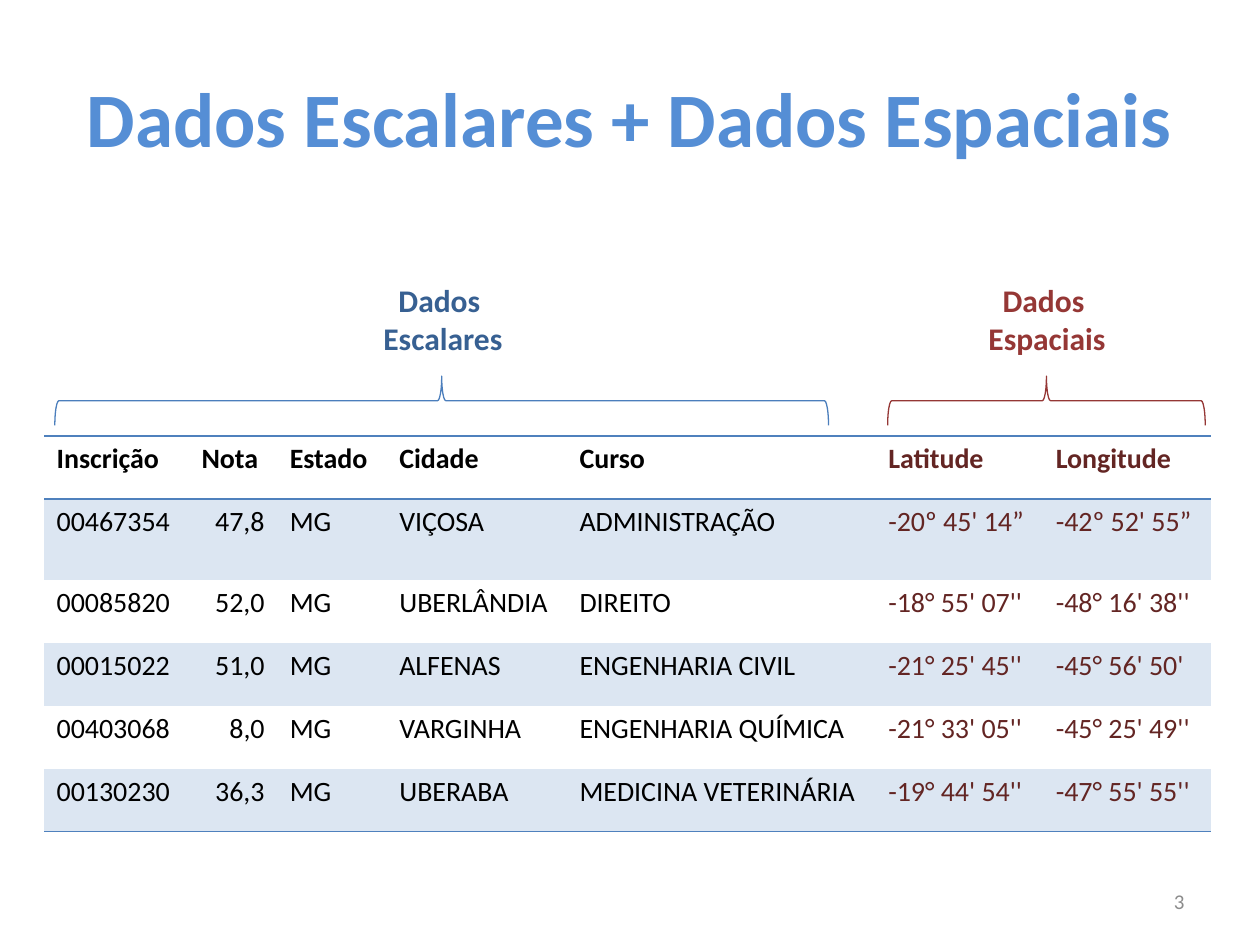
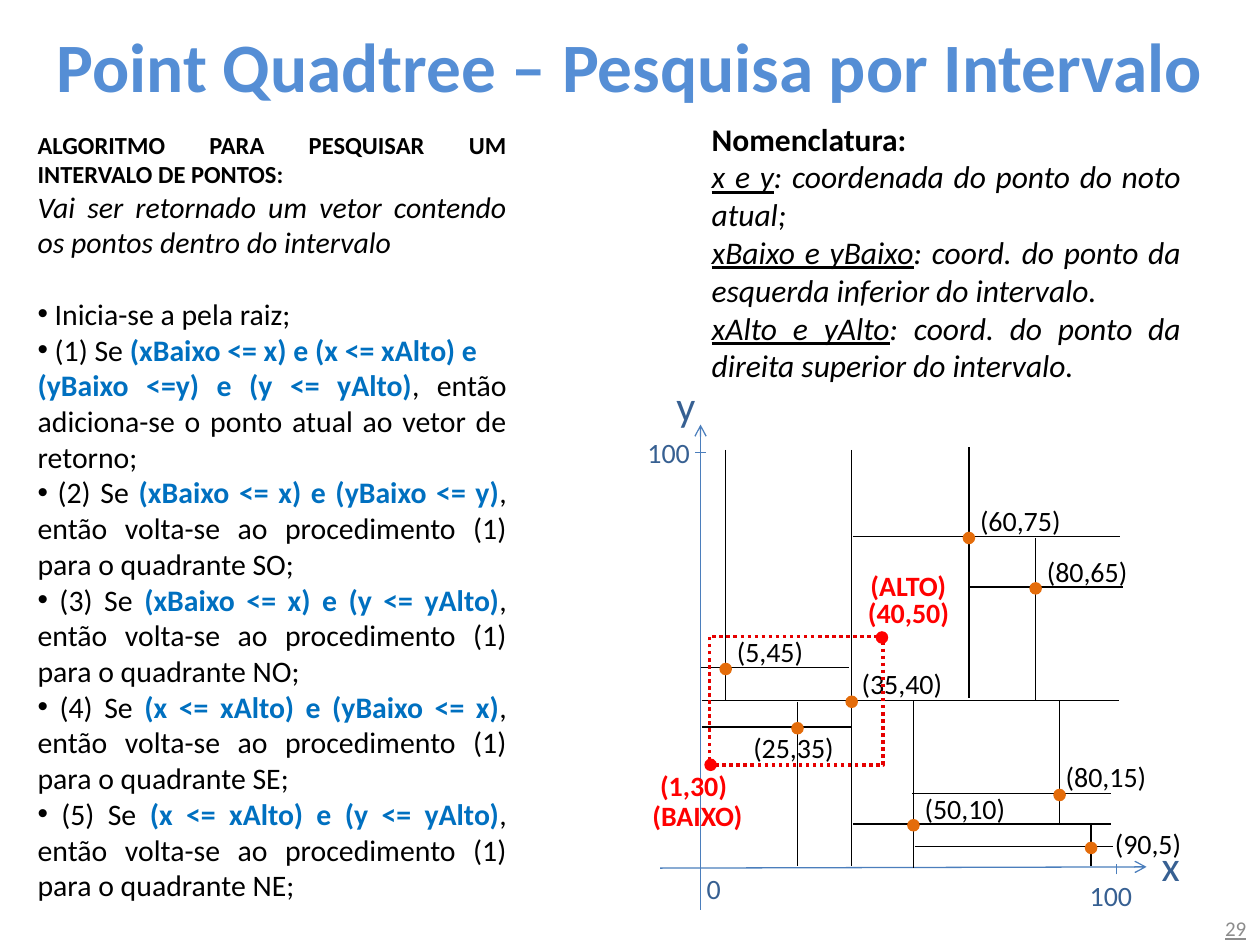
import dataclasses

import lxml.etree
import pptx
import pptx.dml.color
import pptx.enum.dml
import pptx.enum.shapes
import pptx.enum.text
import pptx.oxml
import pptx.oxml.ns
import pptx.util

Inches = pptx.util.Inches
Pt = pptx.util.Pt
Color = pptx.dml.color.RGBColor.from_string
Align = pptx.enum.text.PP_ALIGN
Anchor = pptx.enum.text.MSO_ANCHOR
Shape = pptx.enum.shapes.MSO_SHAPE
qn = pptx.oxml.ns.qn


@dataclasses.dataclass(frozen=True)
class Theme:
    font: str = "Calibri"
    title: str = "558ED5"
    ink: str = "000000"
    paper: str = "FFFFFF"
    muted: str = "8C8C8C"
    border: str = "4F81BD"
    band: str = "DCE6F2"
    axis: str = "4B7EBC"
    scalar: str = "376092"
    spatial: str = "953735"
    spatial_dark: str = "632523"
    condition: str = "0070C0"
    point: str = "E46C0A"
    search: str = "FF0000"
    search_edge: str = "E60000"
    number_size: float = 12
    heading_size: float = 14
    label_size: float = 16
    body_size: float = 17
    note_size: float = 18
    axis_size: float = 24
    hairline: float = 0.75


theme = Theme()


def add_text(page, at, lines, size, color, bold=False, align=Align.LEFT,
             anchor=Anchor.TOP, wrap=False):
    box = page.shapes.add_textbox(*map(Inches, at))
    frame = box.text_frame
    frame.word_wrap = wrap
    frame.vertical_anchor = anchor
    frame.text = "\n".join(lines)
    for para in frame.paragraphs:
        para.alignment = align
        para.font.name = theme.font
        para.font.size = Pt(size)
        para.font.bold = bold
        para.font.color.rgb = Color(color)
    return box


def add_line(page, start, end, color, arrow=False):
    line = page.shapes.add_connector(
        pptx.enum.shapes.MSO_CONNECTOR.STRAIGHT, *map(Inches, start + end))
    line.line.color.rgb = Color(color)
    line.line.width = Pt(theme.hairline)
    if arrow:
        lxml.etree.SubElement(line.line._get_or_add_ln(), qn("a:tailEnd"), type="arrow")
    lxml.etree.SubElement(line._element.spPr, qn("a:effectLst"))


deck = pptx.Presentation()
deck.slide_width = Inches(10)
deck.slide_height = Inches(7.5)

# Titles and page numbers of both slides
pages = []
for title, title_at, title_size, number, number_at in [
    ("Dados Escalares + Dados Espaciais", (0.5, 0.3, 9, 1.25), 44,
     "3", (7.17, 6.95, 2.33, 0.4)),
    ("Point Quadtree – Pesquisa por Intervalo", (0, -0.11, 10, 1.25), 39.6,
     "29", (7.66, 7.17, 2.33, 0.4)),
]:
    page = deck.slides.add_slide(deck.slide_layouts[6])
    add_text(page, title_at, [title], title_size, theme.title, True,
             Align.CENTER, Anchor.MIDDLE, True)
    number_box = add_text(page, number_at, [number], theme.number_size, theme.muted,
                          False, Align.RIGHT, Anchor.MIDDLE, True)
    pages.append(page)
number_box.text_frame.paragraphs[0].font.underline = True
data_page, search_page = pages

# Table of candidates
rows = [
    ("Inscrição", "Nota", "Estado", "Cidade", "Curso", "Latitude", "Longitude"),
    ("00467354", "47,8", "MG", "VIÇOSA", "ADMINISTRAÇÃO", "-20º 45' 14”", "-42º 52' 55”"),
    ("00085820", "52,0", "MG", "UBERLÂNDIA", "DIREITO", "-18° 55' 07''", "-48° 16' 38''"),
    ("00015022", "51,0", "MG", "ALFENAS", "ENGENHARIA CIVIL", "-21° 25' 45''", "-45° 56' 50'"),
    ("00403068", "8,0", "MG", "VARGINHA", "ENGENHARIA QUÍMICA", "-21° 33' 05''", "-45° 25' 49''"),
    ("00130230", "36,3", "MG", "UBERABA", "MEDICINA VETERINÁRIA", "-19° 44' 54''", "-47° 55' 55''"),
]
widths = [1.15, 0.7, 0.87, 1.43, 2.45, 1.33, 1.33]
heights = [0.5, 0.64, 0.5, 0.5, 0.5, 0.5]
table = data_page.shapes.add_table(
    len(rows), len(widths), Inches(0.35), Inches(3.46),
    Inches(sum(widths)), Inches(sum(heights))).table
table.first_row = table.horz_banding = False
# "No style, no grid"
table._tbl.tblPr.find(qn("a:tableStyleId")).text = "{2D5ABB26-0587-4C30-8999-92F81FD0307C}"
for column, width in zip(table.columns, widths):
    column.width = Inches(width)
for row, height in zip(table.rows, heights):
    row.height = Inches(height)

edges_by_row = {0: ("a:lnT", "a:lnB"), len(rows) - 1: ("a:lnB",)}
for row_index, values in enumerate(rows):
    for column_index, value in enumerate(values):
        cell = table.cell(row_index, column_index)
        cell.text = value
        para = cell.text_frame.paragraphs[0]
        para.font.name = theme.font
        para.font.size = Pt(theme.label_size)
        para.font.bold = row_index == 0
        para.font.color.rgb = Color(theme.spatial_dark if column_index >= 5 else theme.ink)
        if column_index == 1 and row_index > 0:
            para.alignment = Align.RIGHT
        for edge in edges_by_row.get(row_index, ()):
            border = lxml.etree.SubElement(
                cell._tc.get_or_add_tcPr(), qn(edge), w=str(Pt(1)))
            solid = lxml.etree.SubElement(border, qn("a:solidFill"))
            lxml.etree.SubElement(solid, qn("a:srgbClr"), val=theme.border)
        if row_index % 2:
            cell.fill.solid()
            cell.fill.fore_color.rgb = Color(theme.band)
        else:
            cell.fill.background()

# Braces over the two column groups, with their captions
for brace_at, brace_color, caption_at, kind, caption_color in [
    ((3.31, 0.11, 0.39, 6.14), theme.axis, (2.94, 2.18, 1.15, 0.71), "Escalares", theme.scalar),
    ((8.11, 1.92, 0.39, 2.52), theme.spatial, (7.74, 2.18, 1.14, 0.71), "Espaciais", theme.spatial),
]:
    brace = data_page.shapes.add_shape(Shape.LEFT_BRACE, *map(Inches, brace_at))
    brace.rotation = 90
    brace.shadow.inherit = False
    brace.fill.background()
    brace.line.color.rgb = Color(brace_color)
    brace.line.width = Pt(theme.hairline)
    add_text(data_page, caption_at, ["Dados ", kind], theme.note_size, caption_color,
             True, Align.CENTER)

# Axes of the quadtree plot: arrows, then ticks
for start, end, arrow in [
    ((5.56, 7.22), (5.56, 3.37), True),
    ((5.24, 6.89), (9.1, 6.88), True),
    ((5.6, 3.59), (5.52, 3.59), False),
    ((8.86, 6.94), (8.86, 6.86), False),
]:
    add_line(search_page, start, end, theme.axis, arrow)
for label, label_at, size in [
    ("100", (5.04, 3.41, 0.54, 0.37), theme.label_size),
    ("100", (8.55, 6.92, 0.54, 0.37), theme.label_size),
    ("0", (5.51, 6.87, 0.32, 0.37), theme.label_size),
    ("x", (9.12, 6.61, 0.35, 0.5), theme.axis_size),
    ("y", (5.27, 2.96, 0.37, 0.5), theme.axis_size),
]:
    add_text(search_page, label_at, [label], size, theme.scalar)

# Tree points: label, centre, label offset, horizontal span, vertical span
above = (-0.01, -0.31)
dots = []
for label, x, y, offset, across, down in [
    ("(35,40)", 6.76, 5.56, (-0.02, -0.32), (5.57, 8.88), (3.57, 6.87)),
    ("(50,10)", 7.25, 6.54, above, (6.77, 8.82), (5.56, 6.89)),
    ("(60,75)", 7.69, 4.26, above, (6.77, 8.89), (3.55, 5.54)),
    ("(80,65)", 8.22, 4.66, above, (7.69, 8.91), (4.27, 5.56)),
    ("(80,15)", 8.41, 6.3, (-0.05, -0.32), (7.24, 8.82), (5.56, 6.54)),
    ("(5,45)", 5.76, 5.3, above, (5.56, 6.74), (3.57, 5.56)),
    ("(25,35)", 6.33, 5.77, (-0.45, -0.02), (5.57, 6.76), (5.57, 6.87)),
    ("(90,5)", 8.66, 6.72, (0.09, -0.21), (7.26, 8.83), (6.55, 6.87)),
]:
    add_line(search_page, (across[0], y), (across[1], y), theme.ink)
    add_line(search_page, (x, down[0]), (x, down[1]), theme.ink)
    label_width = 0.85 if len(label) == 7 else 0.74
    add_text(search_page, (x + offset[0], y + offset[1], label_width, 0.37), [label],
             theme.label_size, theme.ink)
    dots.append((x, y, theme.point))

# Search interval and its two corners
interval = search_page.shapes.add_shape(
    Shape.RECTANGLE, Inches(5.63), Inches(5.05), Inches(1.38), Inches(1.02))
interval.shadow.inherit = False
interval.fill.background()
interval.line.color.rgb = Color(theme.search_edge)
interval.line.width = Pt(2)
interval.line.dash_style = pptx.enum.dml.MSO_LINE.ROUND_DOT
dots += [(5.64, 6.06, theme.search), (7, 5.05, theme.search)]
for label, label_at in [
    ("(40,50)", (6.79, 4.68, 0.86, 0.37)),
    ("(ALTO)", (6.81, 4.46, 0.81, 0.37)),
    ("(1,30)", (5.14, 6.05, 0.74, 0.37)),
    ("(BAIXO)", (5.08, 6.29, 0.93, 0.37)),
]:
    add_text(search_page, label_at, [label], theme.label_size, theme.search, True)

for x, y, color in dots:
    dot = search_page.shapes.add_shape(
        Shape.OVAL, Inches(x - 0.05), Inches(y - 0.04), Inches(0.1), Inches(0.1))
    dot.shadow.inherit = False
    dot.fill.solid()
    dot.fill.fore_color.rgb = Color(color)
    dot.line.fill.background()

# Text panels: each paragraph is a list of (text, style) spans
steps = [("(2)", "(xBaixo <= x) e (yBaixo <= y)", "SO"),
         ("(3)", "(xBaixo <= x) e (y <= yAlto)", "NO"),
         ("(4)", "(x <= xAlto) e (yBaixo <= x)", "SE"),
         ("(5)", "(x <= xAlto) e (y <= yAlto)", "NE")]
algorithm = [
    [("Vai ser retornado um vetor contendo os pontos dentro do intervalo", "italic")],
    [(" Inicia-se a pela raiz;", "bullet")],
    [(" (1) Se ", "bullet"), ("(xBaixo <= x) e (x <= xAlto) e ", "condition")],
    [("(yBaixo <=y) e (y <= yAlto)", "condition"),
     (", então adiciona-se o ponto atual ao vetor de retorno;", "plain")],
] + [
    [(f" {step} Se ", "bullet"), (condition, "condition"),
     (f", então volta-se ao procedimento (1) para o quadrante {quadrant};", "plain")]
    for step, condition, quadrant in steps
]
glossary = [
    [(term, "term"), (f": {meaning}", "italic")] for term, meaning in [
        ("x e y", "coordenada do ponto do noto atual;"),
        ("xBaixo e yBaixo", "coord. do ponto da esquerda inferior do intervalo."),
        ("xAlto e yAlto", "coord. do ponto da direita superior do intervalo."),
    ]
]
for panel_at, heading, heading_size, size, paragraphs in [
    ((0.2, 0.98, 3.92, 6.24), "ALGORITMO PARA PESQUISAR UM INTERVALO DE PONTOS:",
     theme.heading_size, theme.body_size, algorithm),
    ((5.55, 0.9, 3.92, 2.22), "Nomenclatura:", theme.note_size, theme.note_size, glossary),
]:
    panel = add_text(search_page, panel_at, [heading], heading_size, theme.ink, True,
                     Align.JUSTIFY, wrap=True)
    panel.fill.solid()
    panel.fill.fore_color.rgb = Color(theme.paper)
    for spans in paragraphs:
        para = panel.text_frame.add_paragraph()
        para.alignment = Align.JUSTIFY
        if spans is algorithm[1]:
            para.space_before = Pt(20.4)
        if spans[0][1] == "bullet":
            properties = para._p.get_or_add_pPr()
            lxml.etree.SubElement(properties, qn("a:buFont"), typeface="Arial")
            lxml.etree.SubElement(properties, qn("a:buChar"), char="•")
        para.font.name = theme.font
        para.font.size = Pt(size)
        para.font.color.rgb = Color(theme.ink)
        for text, style in spans:
            span = para.add_run()
            span.text = text
            if style == "condition":
                span.font.bold = True
                span.font.color.rgb = Color(theme.condition)
            if style in ("italic", "term"):
                span.font.italic = True
            if style == "term":
                span.font.underline = True

deck.save("out.pptx")
